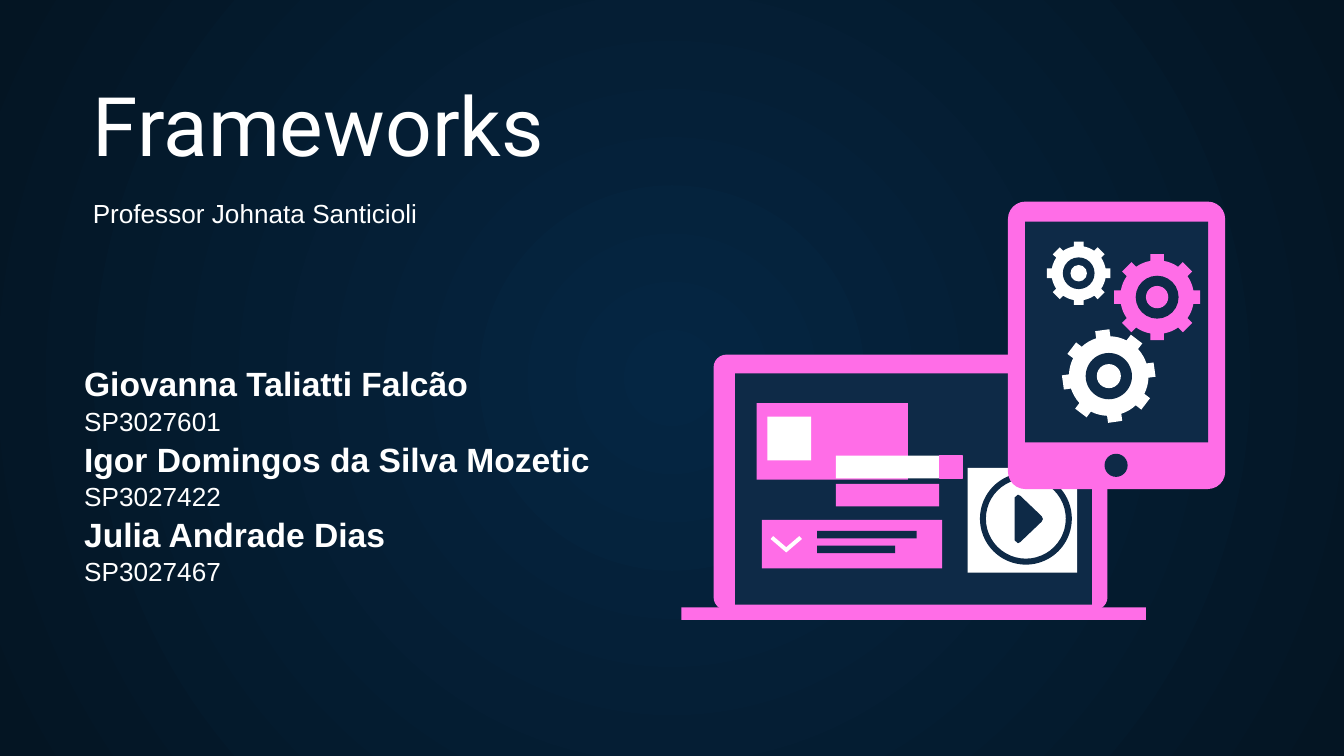
from math import cos, hypot, pi, radians, sin, asin

from lxml.etree import SubElement
from pptx import Presentation
from pptx.dml.color import RGBColor
from pptx.enum.shapes import MSO_SHAPE as SHAPE
from pptx.enum.text import MSO_ANCHOR as ANCHOR, MSO_AUTO_SIZE as AUTO, PP_ALIGN as ALIGN
from pptx.oxml.ns import qn
from pptx.util import Pt

COLORS = {"pink": "FF6DE7", "navy": "0E2A47", "white": "FFFFFF",
          "glow": "052643", "night": "041523"}
STUDENTS = [("Giovanna Taliatti Falcão", "SP3027601"),
            ("Igor Domingos da Silva Mozetic", "SP3027422"),
            ("Julia Andrade Dias", "SP3027467")]


def rgb(color):
    """Return the named colour."""
    return RGBColor.from_string(COLORS[color])


def paint(shape, color):
    """Give a shape a flat fill without line or shadow."""
    shape.shadow.inherit = False
    shape.fill.solid()
    shape.fill.fore_color.rgb = rgb(color)
    shape.line.fill.background()
    return shape


def block(slide, origin, box, color, kind=SHAPE.RECTANGLE, adjust=None):
    """Place a preset shape relative to an origin."""
    x, y, width, height = box
    shape = slide.shapes.add_shape(kind, Pt(origin[0] + x), Pt(origin[1] + y),
                                   Pt(width), Pt(height))
    if adjust is not None:
        shape.adjustments[0] = adjust
    return paint(shape, color)


def disc(slide, origin, center, radius, color, kind=SHAPE.OVAL, adjust=None):
    """Place a round shape by centre and radius."""
    x, y = center
    box = (x - radius, y - radius, 2 * radius, 2 * radius)
    return block(slide, origin, box, color, kind, adjust)


def outline(slide, origin, points, color):
    """Place a filled polygon relative to an origin."""
    corners = [(Pt(origin[0] + x), Pt(origin[1] + y)) for x, y in points]
    builder = slide.shapes.build_freeform(*corners[0])
    builder.add_line_segments(corners[1:], close=True)
    return paint(builder.convert_to_shape(), color)


def gear(slide, origin, center, radius, color, turn=0):
    """Draw an eight-toothed gear with a ring and a hub."""
    body, half = 0.86 * radius, 0.155 * radius
    root, tip = asin(half / body), hypot(radius, half)
    flank = asin(half / tip)
    profile = [(-root, body), (-flank, tip), (flank, tip), (root, body)]
    profile += [(root + (pi / 4 - 2 * root) * step / 4, body) for step in (1, 2, 3)]
    points = []
    for tooth in range(8):
        for offset, reach in profile:
            angle = tooth * pi / 4 + offset + radians(turn)
            points.append((center[0] + reach * sin(angle), center[1] - reach * cos(angle)))
    outline(slide, origin, points, color)
    disc(slide, origin, center, 0.5 * radius, "navy")
    disc(slide, origin, center, 0.26 * radius, color)


def laptop(slide, origin):
    """Draw the laptop with its page blocks and play tile."""
    block(slide, origin, (17.3, 0, 211, 136.8), "pink", SHAPE.ROUNDED_RECTANGLE, 0.05)
    for box, color in [
        ((28.8, 10, 191.2, 116), "navy"),
        ((0, 135.4, 249, 6.8), "pink"),
        ((28.8, 123.2, 191.2, 10.8), "navy"),
        ((40.4, 26, 81, 41), "pink"),
        ((46.1, 33.2, 23.5, 23.5), "white"),
        ((68.4, 88.6, 71.3, 25.9), "pink"),
        ((72.8, 94.4, 53.3, 4), "navy"),
        ((72.8, 102.3, 41.8, 4), "navy"),
        ((43.2, 88.6, 25.2, 25.9), "pink"),
        ((82.8, 69.2, 55.4, 12.2), "pink"),
        ((82.8, 54.1, 55.4, 12.2), "white"),
        ((153.4, 60.6, 58.7, 56.2), "white"),
    ]:
        block(slide, origin, box, color)
    button = block(slide, origin, (138.2, 54.1, 12.2, 12.2), "pink")
    button.line.color.rgb = rgb("pink")
    button.line.width = Pt(0.75)
    outline(slide, origin, [(49.2, 97.2), (56.2, 103.2), (63.2, 97.2), (64.6, 98.8),
                            (56.2, 106), (47.8, 98.8)], "white")
    disc(slide, origin, (184.6, 87.9), 24.6, "navy", SHAPE.DONUT, 0.065)
    outline(slide, origin, [(178.6, 76.5), (180.3, 75), (181.6, 75.6), (193, 86.5),
                            (193.7, 88), (193, 89.5), (181.6, 100.4), (180.3, 101),
                            (178.6, 99.5)], "navy")


def tablet(slide, origin):
    """Draw the tablet with three gears and a home button."""
    block(slide, origin, (0, 0, 116.4, 154), "pink", SHAPE.ROUNDED_RECTANGLE, 0.08)
    block(slide, origin, (9.2, 10.8, 98, 118.2), "navy")
    disc(slide, origin, (57.9, 141.3), 6.2, "navy")
    gear(slide, origin, (79.9, 51.2), 23, "pink")
    gear(slide, origin, (37.9, 38.4), 17, "white")
    gear(slide, origin, (54, 93.5), 24.8, "white", -8)


def write(paragraph, text, **formats):
    """Fill a left-aligned paragraph with formatted white text."""
    paragraph.alignment = ALIGN.LEFT
    paragraph.space_before = Pt(0)
    run = paragraph.add_run()
    run.text = text
    run.font.color.rgb = rgb("white")
    for name, value in formats.items():
        setattr(run.font, name, value)


def settle(shape, box, inset, anchor=ANCHOR.TOP):
    """Move a text shape into its box and set its frame."""
    for name, value in zip(("left", "top", "width", "height"), box):
        setattr(shape, name, Pt(value))
    frame = shape.text_frame
    settings = {"word_wrap": True, "auto_size": AUTO.NONE, "vertical_anchor": anchor}
    settings.update({f"margin_{side}": Pt(inset) for side in ("left", "right", "top", "bottom")})
    for name, value in settings.items():
        setattr(frame, name, value)
    return frame


def heading(slide, origin):
    """Place the title and the professor's name."""
    x, y = origin
    title = settle(slide.shapes.title, (x, y, 284.4, 47.5), 7.2, ANCHOR.BOTTOM)
    write(title.paragraphs[0], "Frameworks", name="Roboto", size=Pt(44), bold=False)
    professor = settle(slide.placeholders[1], (x, y + 46, 246.2, 47.5), 7.2)
    write(professor.paragraphs[0], "Professor Johnata Santicioli", name="Arial", size=Pt(14))


def students(slide, box):
    """List the students with their enrolment numbers."""
    frame = settle(slide.shapes.add_textbox(0, 0, 0, 0), box, 3.6)
    frame.margin_left = frame.margin_right = Pt(7.2)
    lines = [line for name, code in STUDENTS for line in ((name, 18, True), (code, 14, False))]
    for index, (text, size, bold) in enumerate(lines):
        paragraph = frame.add_paragraph() if index else frame.paragraphs[0]
        paragraph.line_spacing = 1.05
        write(paragraph, text, name="Arial", size=Pt(size), bold=bold)


def backdrop(slide):
    """Fill the background with a radial glow."""
    fill = slide.background.fill
    fill.gradient()
    for stop, color, position in zip(fill.gradient_stops, ("glow", "night"), (0, 1)):
        stop.color.rgb = rgb(color)
        stop.position = position
    gradient = slide.element.find(".//" + qn("a:gradFill"))
    gradient.remove(gradient.find(qn("a:lin")))
    radial = SubElement(gradient, qn("a:path"), {"path": "circle"})
    SubElement(radial, qn("a:fillToRect"), {side: "50000" for side in "ltrb"})


def main():
    """Build and save the cover slide."""
    deck = Presentation()
    deck.slide_width, deck.slide_height = Pt(720), Pt(405)
    slide = deck.slides.add_slide(deck.slide_layouts[0])
    backdrop(slide)
    heading(slide, (42.5, 52.6))
    laptop(slide, (365, 190))
    tablet(slide, (540, 108))
    students(slide, (38, 190, 360, 124))
    deck.save("out.pptx")


if __name__ == "__main__":
    main()
